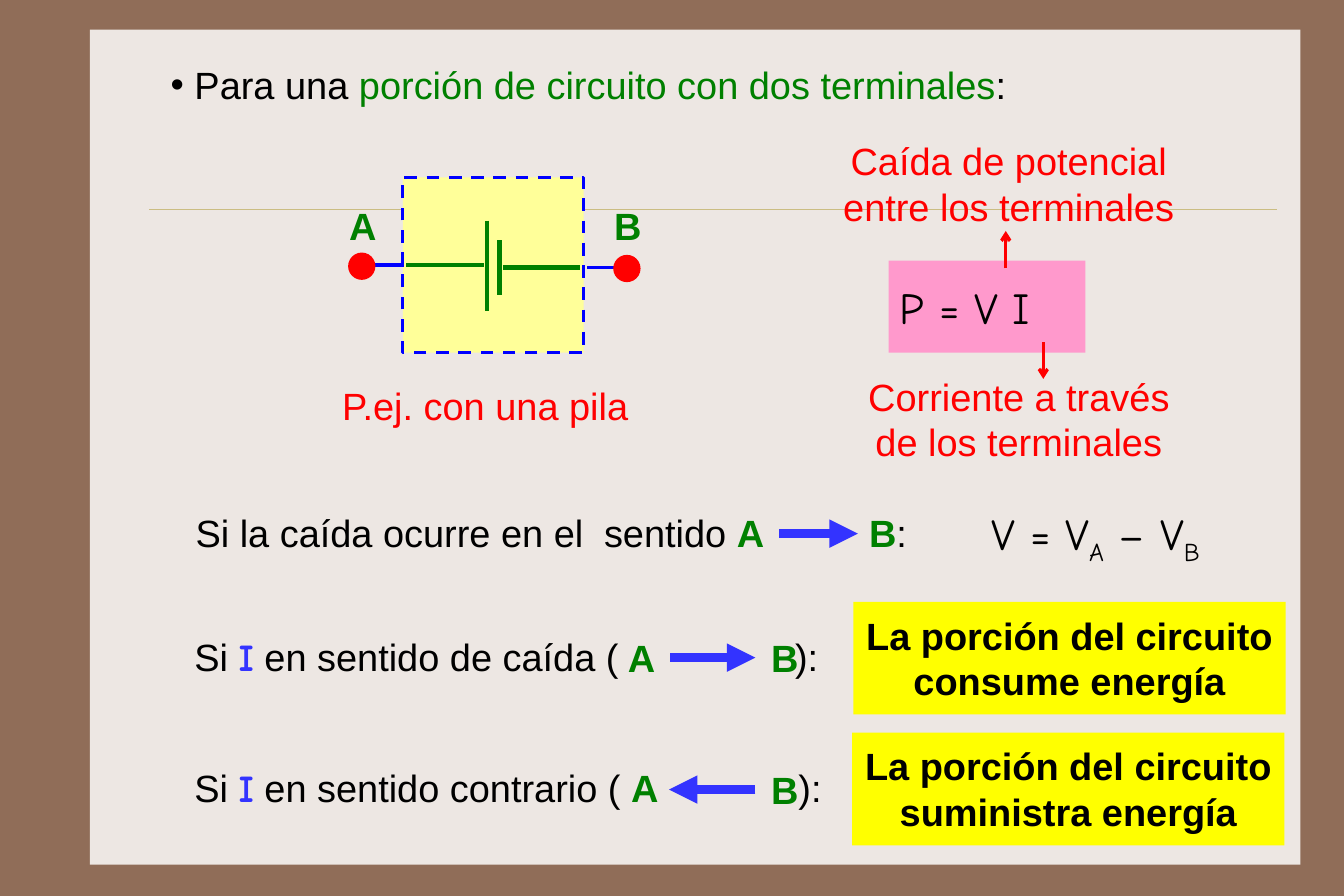
from dataclasses import dataclass
from typing import NamedTuple, Optional

from lxml import etree
from pptx import Presentation
from pptx.dml.color import RGBColor
from pptx.enum.dml import MSO_LINE
from pptx.enum.shapes import MSO_CONNECTOR, MSO_SHAPE
from pptx.enum.text import MSO_ANCHOR, PP_ALIGN
from pptx.oxml.ns import qn
from pptx.util import Inches, Pt

LEFT, CENTER = PP_ALIGN.LEFT, PP_ALIGN.CENTER
TOP, MIDDLE = MSO_ANCHOR.TOP, MSO_ANCHOR.MIDDLE
RECT, OVAL = MSO_SHAPE.RECTANGLE, MSO_SHAPE.OVAL
STRAIGHT, DASH = MSO_CONNECTOR.STRAIGHT, MSO_LINE.DASH

BROWN = RGBColor(0x90, 0x6D, 0x58)
PAPER = RGBColor(0xED, 0xE7, 0xE3)
SAND = RGBColor(0xCB, 0xBD, 0x83)
BLACK = RGBColor(0, 0, 0)
GREEN = RGBColor(0, 0x80, 0)
RED = RGBColor(0xFF, 0, 0)
BLUE = RGBColor(0, 0, 0xFF)
INDIGO = RGBColor(0x33, 0x33, 0xFF)
CREAM = RGBColor(0xFF, 0xFF, 0x99)
YELLOW = RGBColor(0xFF, 0xFF, 0)
PINK = RGBColor(0xFF, 0x99, 0xCC)

SANS, HAND = "Arial", "Comic Neue"


class Part(NamedTuple):
    text: str
    color: RGBColor = BLACK
    bold: bool = False
    font: str = SANS
    size: int = 24
    base: int = 0


@dataclass
class Label:
    x: float
    y: float
    w: float
    h: float
    lines: list[list[Part]]
    align: PP_ALIGN = LEFT
    anchor: MSO_ANCHOR = TOP
    wrap: bool = True
    fill: Optional[RGBColor] = None
    inset: tuple[float, float] = (0.1, 0.09)
    tabs: tuple[float, ...] = ()
    bullet: bool = False


@dataclass
class Wire:
    x1: float
    y1: float
    x2: float
    y2: float
    color: RGBColor
    width: float
    head: str = ""


@dataclass
class Block:
    kind: MSO_SHAPE
    x: float
    y: float
    w: float
    h: float
    fill: RGBColor
    edge: Optional[RGBColor] = None


def letter(x: float, y: float, text: str) -> Label:
    return Label(x, y, 0.44, 0.59, [[Part(text, GREEN, True)]], wrap=False)


def math(text: str, base: int = 0) -> Part:
    return Part(text, font=HAND, size=28, base=base)


def sense(y: float, text: str, tab: float) -> Label:
    parts = [Part("Si "), Part("I", INDIGO, True, HAND),
             Part(f" en sentido {text} (\t):")]
    return Label(1.61, y, 6, 0.59, [parts], tabs=(tab,))


def result(x: float, y: float, text: str) -> Label:
    lines = [[Part(line, bold=True)] for line in ("La porción del circuito", text)]
    return Label(x, y, 3.8, 0.99, lines, CENTER, wrap=False, fill=YELLOW)


def note(x: float, y: float, w: float, text: str) -> Label:
    return Label(x, y, w, 0.99, [[Part(text, RED)]], CENTER)


FRAME = Block(RECT, 0.79, 0.26, 10.64, 7.34, PAPER)
RULE = Wire(1.31, 1.84, 11.22, 1.84, SAND, 0.25)
CELL = Block(RECT, 3.54, 1.56, 1.59, 1.54, CREAM, BLUE)
DOTS = [Block(OVAL, x, y, 0.24, 0.24, RED) for x, y in ((3.06, 2.22), (5.39, 2.24))]

LABELS = [
    # Heading
    Label(1.11, 0.41, 8.13, 0.67,
          [[Part("Para una "), Part("porción de circuito con dos terminales", GREEN),
            Part(":")]],
          anchor=MIDDLE, inset=(0.14, 0.13), bullet=True),
    # Battery
    letter(2.97, 1.69, "A"),
    letter(5.3, 1.69, "B"),
    Label(2.91, 3.31, 2.84, 0.5, [[Part("P.ej. con una pila", RED)]],
          inset=(0.1, 0.05)),
    # Power formula
    Label(7.81, 2.29, 1.73, 0.81, [[math("P = V I")]], anchor=MIDDLE,
          fill=PINK, inset=(0.1, 0.13)),
    note(7.29, 1.12, 3.15, "Caída de potencial entre los terminales"),
    note(7.49, 3.19, 2.93, "Corriente a través de los terminales"),
    # Voltage drop
    Label(1.62, 4.39, 6.61, 0.59,
          [[Part("Si la caída ocurre en el\tsentido "),
            Part("A\tB", GREEN, True), Part(":")]], tabs=(3.59, 5.92)),
    Label(8.62, 4.36, 2.17, 0.65,
          [[math("V = V"), math("A", -25), math(" – V"), math("B", -25)]]),
    # Current with the drop
    sense(5.48, "de caída", 5.28),
    letter(5.42, 5.49, "A"),
    letter(6.68, 5.49, "B"),
    result(7.5, 5.29, "consume energía"),
    # Current against the drop
    sense(6.63, "contrario", 5.31),
    letter(5.45, 6.63, "A"),
    letter(6.68, 6.65, "B"),
    result(7.49, 6.44, "suministra energía"),
]

WIRES = [
    # Leads
    Wire(3.55, 2.33, 3.17, 2.33, BLUE, 2),
    Wire(5.54, 2.35, 5.16, 2.35, BLUE, 2),
    # Battery plates
    Wire(4.28, 1.94, 4.28, 2.73, GREEN, 3),
    Wire(4.39, 2.11, 4.39, 2.59, GREEN, 3),
    Wire(3.57, 2.33, 4.25, 2.33, GREEN, 3),
    Wire(4.42, 2.35, 5.1, 2.35, GREEN, 3),
    # Arrows from the formula
    Wire(8.84, 2.36, 8.84, 2.03, RED, 2, "arrow"),
    Wire(9.17, 3.01, 9.17, 3.33, RED, 2, "arrow"),
    # Arrows between A and B
    Wire(6.85, 4.69, 7.54, 4.69, INDIGO, 6, "triangle"),
    Wire(5.89, 5.78, 6.64, 5.78, INDIGO, 6, "triangle"),
    Wire(6.64, 6.94, 5.88, 6.94, INDIGO, 6, "triangle"),
]


def draw_block(slide, block: Block) -> None:
    shape = slide.shapes.add_shape(
        block.kind, *map(Inches, (block.x, block.y, block.w, block.h)))
    shape.shadow.inherit = False
    shape.fill.solid()
    shape.fill.fore_color.rgb = block.fill
    if block.edge is None:
        shape.line.fill.background()
    else:
        shape.line.color.rgb = block.edge
        shape.line.width = Pt(2)
        shape.line.dash_style = DASH


def draw_wire(slide, wire: Wire) -> None:
    line = slide.shapes.add_connector(
        STRAIGHT, *map(Inches, (wire.x1, wire.y1, wire.x2, wire.y2)))
    line.line.color.rgb = wire.color
    line.line.width = Pt(wire.width)
    props = line._element.spPr
    if wire.head:
        etree.SubElement(props.find(qn("a:ln")), qn("a:tailEnd"), type=wire.head)
    etree.SubElement(props, qn("a:effectLst"))


def draw_label(slide, label: Label) -> None:
    box = slide.shapes.add_textbox(
        *map(Inches, (label.x, label.y, label.w, label.h)))
    if label.fill is not None:
        box.fill.solid()
        box.fill.fore_color.rgb = label.fill
    frame = box.text_frame
    frame.word_wrap = label.wrap
    frame.vertical_anchor = label.anchor
    frame.margin_left = frame.margin_right = Inches(label.inset[0])
    frame.margin_top = frame.margin_bottom = Inches(label.inset[1])
    for i, parts in enumerate(label.lines):
        para = frame.add_paragraph() if i else frame.paragraphs[0]
        para.alignment = label.align
        props = para._p.get_or_add_pPr()
        if label.bullet:
            props.set("marL", str(Inches(0.46)))
            props.set("indent", str(Inches(-0.21)))
            etree.SubElement(props, qn("a:buFont"), typeface=SANS)
            etree.SubElement(props, qn("a:buChar"), char="•")
        if label.tabs:
            stops = etree.SubElement(props, qn("a:tabLst"))
            for tab in label.tabs:
                etree.SubElement(stops, qn("a:tab"), pos=str(Inches(tab)), algn="l")
        for part in parts:
            run = para.add_run()
            run.text = part.text
            run.font.name = part.font
            run.font.size = Pt(part.size)
            run.font.bold = part.bold
            run.font.color.rgb = part.color
            if part.base:
                run._r.get_or_add_rPr().set("baseline", str(part.base * 1000))


def main() -> None:
    deck = Presentation()
    deck.slide_width, deck.slide_height = Pt(850.5), Pt(567)
    slide = deck.slides.add_slide(deck.slide_layouts[6])
    slide.background.fill.solid()
    slide.background.fill.fore_color.rgb = BROWN
    draw_block(slide, FRAME)
    draw_wire(slide, RULE)
    draw_block(slide, CELL)
    for label in LABELS:
        draw_label(slide, label)
    for wire in WIRES:
        draw_wire(slide, wire)
    for dot in DOTS:
        draw_block(slide, dot)
    deck.save("out.pptx")


if __name__ == "__main__":
    main()
